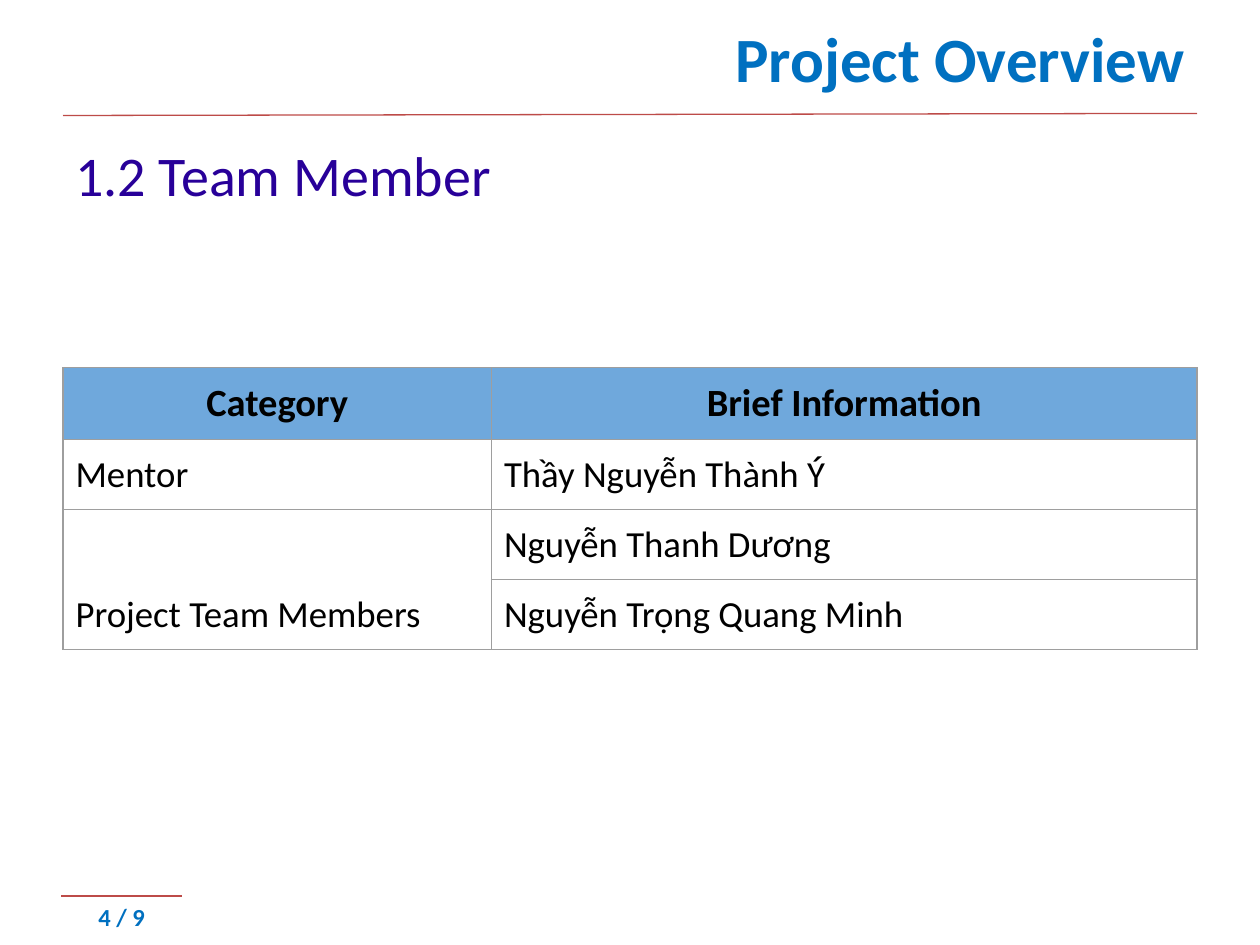
"""Build the project overview slide with its team member table."""
from dataclasses import dataclass

from lxml.etree import SubElement
from pptx import Presentation
from pptx.dml.color import RGBColor as RGB
from pptx.enum.shapes import MSO_CONNECTOR as CONN
from pptx.enum.text import MSO_ANCHOR as ANCHOR, PP_ALIGN as ALIGN
from pptx.oxml.ns import qn
from pptx.util import Pt


@dataclass(frozen=True)
class Theme:
    font: str = "Calibri"
    title: str = "0070C0"
    heading: str = "280099"
    text: str = "000000"
    rule: str = "BD4B48"
    border: str = "9E9E9E"
    header: str = "6FA8DC"
    title_size: int = 36
    heading_size: int = 32
    header_size: int = 22
    cell_size: int = 21
    page_size: int = 14
    line: float = 0.75
    pad: float = 7.2


class SlideBuilder:
    def __init__(self, slide, theme):
        self.s = slide
        self.t = theme

    def style(self, p, size, color, bold=False, align=ALIGN.LEFT):
        p.alignment = align
        for r in p.runs:
            r.font.name = self.t.font
            r.font.size = Pt(size)
            r.font.bold = bold
            r.font.color.rgb = RGB.from_string(color)

    def text(self, box, text, size, color, bold=False, align=ALIGN.LEFT,
             anchor=ANCHOR.TOP, before=0):
        sp = self.s.shapes.add_textbox(*map(Pt, box))
        tf = sp.text_frame
        tf.word_wrap = True
        tf.vertical_anchor = anchor
        tf.text = text
        p = tf.paragraphs[0]
        p.space_before = Pt(before)
        self.style(p, size, color, bold, align)

    def rule(self, *ends):
        ln = self.s.shapes.add_connector(CONN.STRAIGHT, *map(Pt, ends))
        ln.line.color.rgb = RGB.from_string(self.t.rule)
        ln.line.width = Pt(self.t.line)
        SubElement(ln._element.spPr, qn("a:effectLst"))

    def borders(self, cell):
        tc_pr = cell._tc.get_or_add_tcPr()
        for side in "LRTB":
            ln = SubElement(tc_pr, qn(f"a:ln{side}"), w=str(Pt(self.t.line)))
            fill = SubElement(ln, qn("a:solidFill"))
            SubElement(fill, qn("a:srgbClr"), val=self.t.border)

    def cell(self, cell, text, header, anchor):
        t = self.t
        self.borders(cell)
        if header:
            cell.fill.solid()
            cell.fill.fore_color.rgb = RGB.from_string(t.header)
        else:
            cell.fill.background()
        cell.margin_left = cell.margin_right = Pt(t.pad)
        cell.margin_top = cell.margin_bottom = Pt(t.pad)
        cell.vertical_anchor = anchor
        cell.text_frame.text = text
        self.style(cell.text_frame.paragraphs[0],
                   t.header_size if header else t.cell_size, t.text,
                   header, ALIGN.CENTER if header else ALIGN.LEFT)

    def table(self, left, top, widths, heights, rows, anchors, merges):
        box = (left, top, sum(widths), sum(heights))
        tbl = self.s.shapes.add_table(len(rows), len(widths), *map(Pt, box)).table
        tbl.first_row = tbl.horz_banding = False
        for col, width in zip(tbl.columns, widths):
            col.width = Pt(width)
        for row, height in zip(tbl.rows, heights):
            row.height = Pt(height)
        for i, texts in enumerate(rows):
            for j, text in enumerate(texts):
                anchor = anchors.get((i, j), ANCHOR.TOP)
                self.cell(tbl.cell(i, j), text, i == 0, anchor)
        for first, last in merges:
            tbl.cell(*first).merge(tbl.cell(*last))


def main():
    prs = Presentation()
    prs.slide_width, prs.slide_height = Pt(720), Pt(540)
    t = Theme()
    b = SlideBuilder(prs.slides.add_slide(prs.slide_layouts[6]), t)

    b.rule(36, 66, 684, 64.8)
    b.text((35, 512, 69, 28), "4 / 9", t.page_size, t.title, True, ALIGN.CENTER)
    b.rule(35, 512, 104, 512)
    b.text((151, 0, 533, 65), "Project Overview", t.title_size, t.title, True,
           ALIGN.RIGHT, ANCHOR.MIDDLE)
    b.text((36, 77, 648, 425.5), "1.2 Team Member", t.heading_size, t.heading,
           before=4.8)
    b.table(
        36, 210.2, (244.8, 403.2), (41, 40, 40, 40),
        [("Category", "Brief Information"),
         ("Mentor", "Thầy Nguyễn Thành Ý"),
         ("Project Team Members", "Nguyễn Thanh Dương"),
         ("", "Nguyễn Trọng Quang Minh")],
        {(1, 0): ANCHOR.MIDDLE, (1, 1): ANCHOR.MIDDLE, (2, 0): ANCHOR.BOTTOM},
        [((2, 0), (3, 0))])

    prs.save("out.pptx")


if __name__ == "__main__":
    main()
